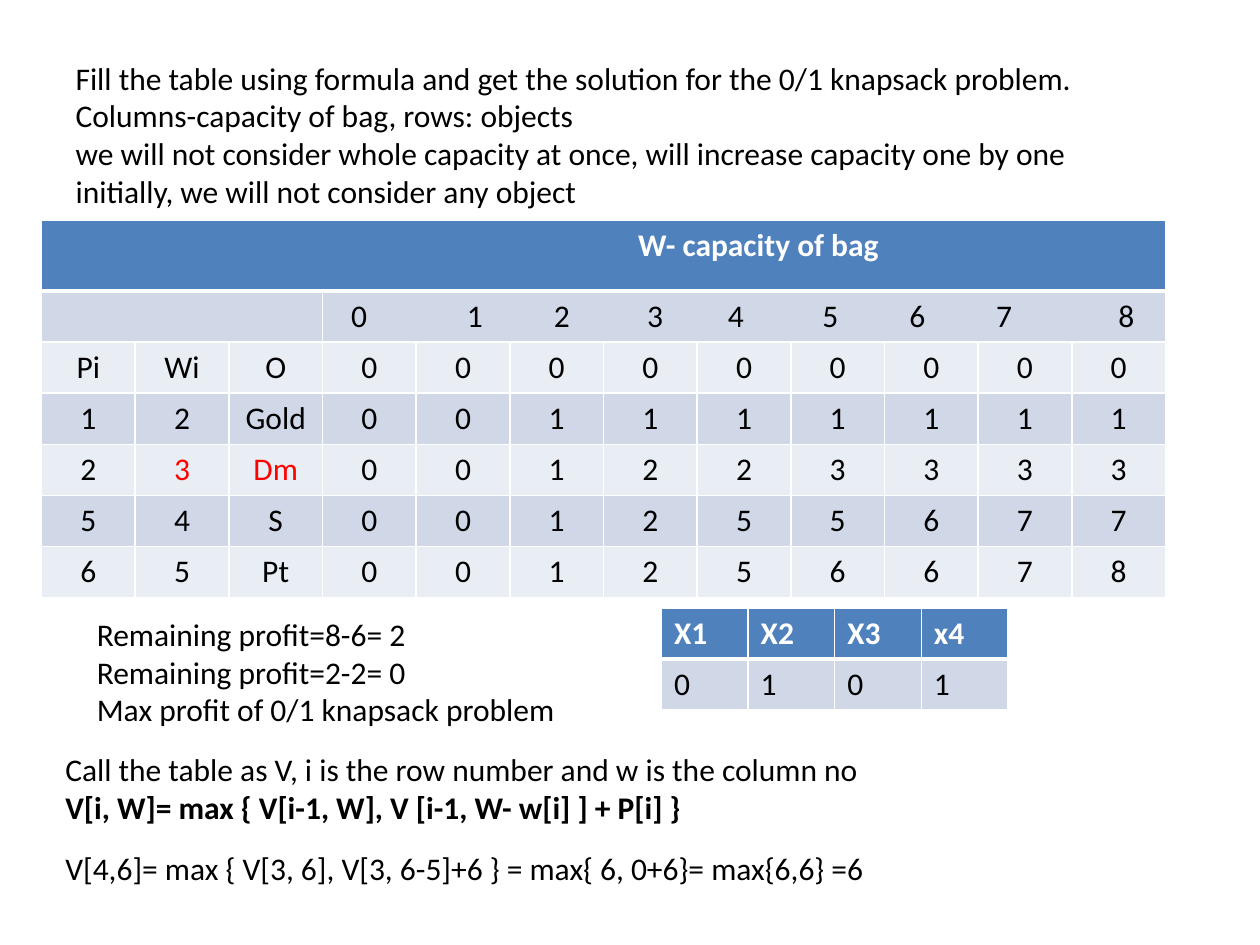
from lxml import etree
from pptx import Presentation
from pptx import util as u
from pptx.dml.color import RGBColor
from pptx.enum import text
from pptx.oxml.ns import qn

THEME = dict(font="Calibri", size=18, ink="000000", mark="FF0000", white="FFFFFF",
             head="4F81BD", bands=("E9EDF4", "D0D8E8"))

TITLE = [
    "Fill the table using formula and get the solution for the 0/1 knapsack problem.",
    "Columns-capacity of bag, rows: objects",
    "we will not consider whole capacity at once, will increase capacity one by one",
    "initially, we will not consider any object",
]
HEADING = ["W- capacity of bag"]
CENTRE = [5.59]
SCALE = [0, 1, 2, 3, 4, 5, 6, 7, 8]
STOPS = [0.19, 1.11, 1.8, 2.54, 3.18, 3.93, 4.62, 5.31, 6.28]
GRID = [
    ["Pi", "Wi", "O", 0, 0, 0, 0, 0, 0, 0, 0, 0],
    [1, 2, "Gold", 0, 0, 1, 1, 1, 1, 1, 1, 1],
    [2, 3, "Dm", 0, 0, 1, 2, 2, 3, 3, 3, 3],
    [5, 4, "S", 0, 0, 1, 2, 5, 5, 6, 7, 7],
    [6, 5, "Pt", 0, 0, 1, 2, 5, 6, 6, 7, 8],
]
MARKED = {(4, 1), (4, 2)}
PICKS = [["X1", "X2", "X3", "x4"], [0, 1, 0, 1]]
PROFIT = [
    "Remaining profit=8-6= 2",
    "Remaining profit=2-2= 0",
    "Max profit of 0/1 knapsack problem",
]
RULE = [
    "Call the table as V, i is the row number and w is the column no",
    "V[i, W]= max { V[i-1, W], V [i-1, W- w[i] ] + P[i] }",
    "V[4,6]= max { V[3, 6], V[3, 6-5]+6 } = max{ 6, 0+6}= max{6,6} =6",
]
LEFT, MID = text.PP_ALIGN.LEFT, text.PP_ALIGN.CENTER


def rgb(name):
    return RGBColor.from_string(name)


def style(para, color=THEME["ink"], bold=False, align=LEFT):
    para.alignment = align
    for item in [para, *para.runs]:
        font = item.font
        font.name, font.size, font.bold = THEME["font"], u.Pt(THEME["size"]), bold
        font.color.rgb = rgb(color)


def border(cell, row):
    props = cell._tc.get_or_add_tcPr()
    wide = {"lnT": 3 if row == 1 else 1, "lnB": 3 if row == 0 else 1}
    for i, side in enumerate(("lnL", "lnR", "lnT", "lnB")):
        line = etree.Element(qn("a:" + side), w=str(u.Pt(wide.get(side, 1))))
        fill = etree.SubElement(line, qn("a:solidFill"))
        etree.SubElement(fill, qn("a:srgbClr"), val=THEME["white"])
        props.insert(i, line)


def add_grid(slide, rows, box, heights, align, marked=()):
    left, top, width = map(u.Inches, box)
    count = len(rows[0])
    table = slide.shapes.add_table(len(rows), count, left, top, width,
                                   u.Inches(sum(heights))).table
    for col in table.columns:
        col.width = width // count
    for r, values in enumerate(rows):
        table.rows[r].height = u.Inches(heights[r])
        for c, value in enumerate(values):
            cell = table.cell(r, c)
            cell.text = str(value)
            color = THEME["white" if r == 0 else "mark" if (r, c) in marked else "ink"]
            style(cell.text_frame.paragraphs[0], color, r == 0, align)
            cell.fill.solid()
            cell.fill.fore_color.rgb = rgb(THEME["bands"][r % 2] if r else THEME["head"])
            border(cell, r)
    return table


def add_text(slide, lines, box, anchor):
    frame = slide.shapes.add_textbox(*map(u.Inches, box)).text_frame
    frame.word_wrap = True
    frame.vertical_anchor = anchor
    frame.text = "\n".join(lines)
    for para in frame.paragraphs:
        style(para)
    return frame


def tabbed(items):
    return "".join(f"\t{item}" for item in items)


def set_tabs(cell, stops):
    para = cell.text_frame.paragraphs[0]
    para.alignment = LEFT
    tabs = etree.Element(qn("a:tabLst"))
    for stop in stops:
        etree.SubElement(tabs, qn("a:tab"), pos=str(u.Inches(stop)), algn="ctr")
    para._p.get_or_add_pPr().insert(0, tabs)


def main():
    deck = Presentation()
    deck.slide_width, deck.slide_height = u.Inches(10), u.Inches(7.5)
    slide = deck.slides.add_slide(deck.slide_layouts[5])

    title = slide.shapes.title
    title.left, title.top, title.width, title.height = map(u.Inches, (0.5, 0.3, 9, 1.53))
    frame = title.text_frame
    frame.auto_size = text.MSO_AUTO_SIZE.NONE
    frame.vertical_anchor = text.MSO_ANCHOR.MIDDLE
    frame.text = "\v".join(TITLE)
    style(frame.paragraphs[0])

    rows = [[tabbed(HEADING)] + [""] * 11,
            [""] * 3 + [tabbed(SCALE)] + [""] * 8] + GRID
    table = add_grid(slide, rows, (0.33, 1.75, 8.92), [0.56] + [0.4] * 6, MID, MARKED)
    for row, first, last in ((0, 0, 11), (1, 0, 2), (1, 3, 11)):
        table.cell(row, first).merge(table.cell(row, last))
    set_tabs(table.cell(0, 0), CENTRE)
    set_tabs(table.cell(1, 3), STOPS)

    rule = add_text(slide, RULE, (0.42, 5.83, 9, 1.33), text.MSO_ANCHOR.MIDDLE)
    style(rule.paragraphs[1], bold=True)
    rule.paragraphs[2].space_before = u.Pt(13)
    add_grid(slide, PICKS, (5.25, 4.83, 2.75), [0.4, 0.4], LEFT)
    add_text(slide, PROFIT, (0.67, 4.83, 4.42, 1.01), text.MSO_ANCHOR.TOP)
    deck.save("out.pptx")


if __name__ == "__main__":
    main()
